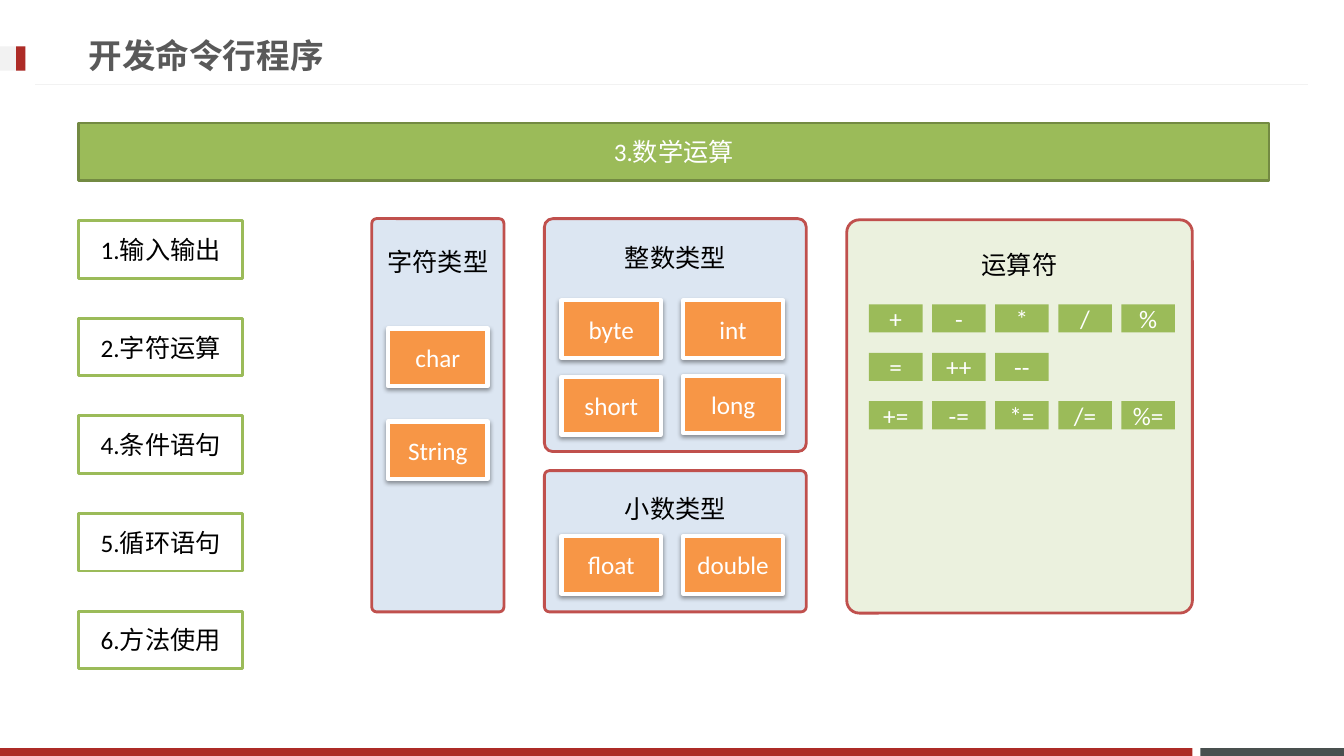
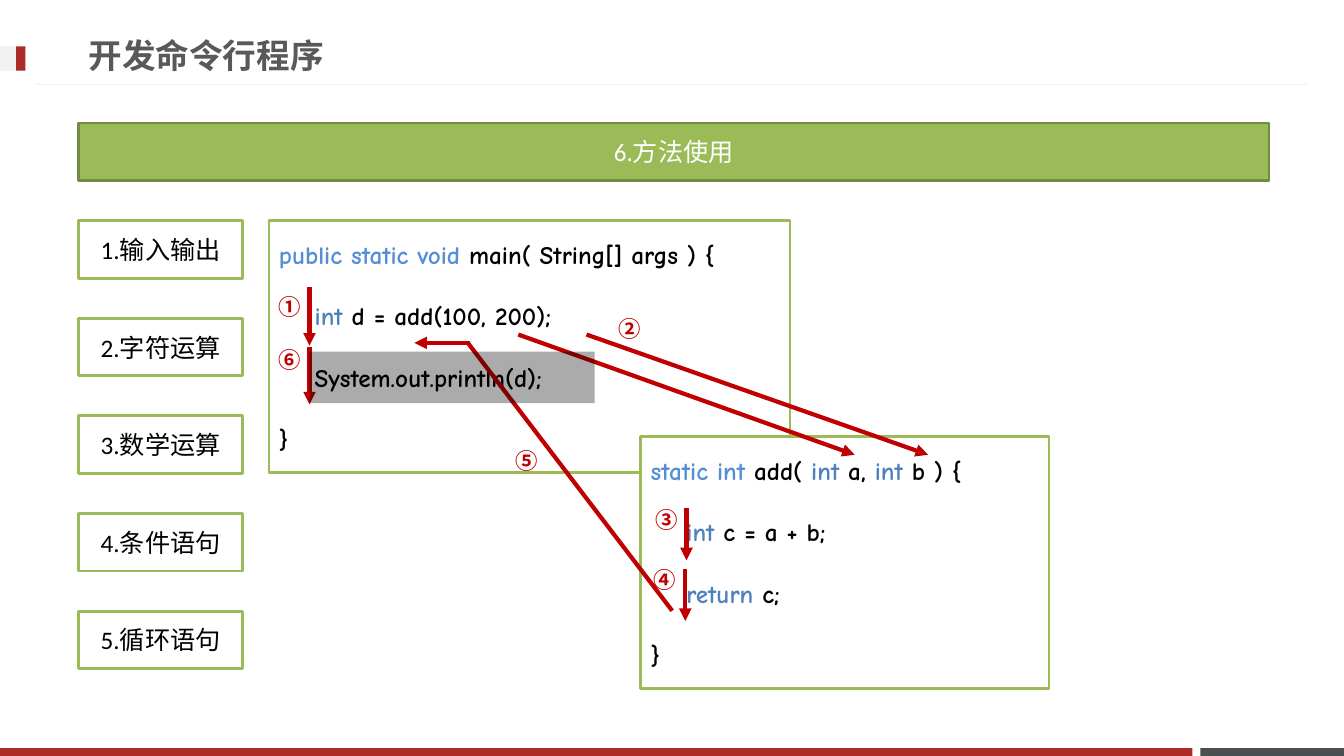
from dataclasses import dataclass

from lxml import etree
from pptx import Presentation
from pptx import util as u
from pptx.dml.color import RGBColor
from pptx.enum import shapes, text
from pptx.oxml import parse_xml
from pptx.oxml.ns import nsdecls, qn


@dataclass(frozen=True)
class Theme:
    white: str = "FFFFFF"
    black: str = "000000"
    title: str = "595959"
    pale: str = "F2F2F2"
    brand: str = "AD2B26"
    slate: str = "49504F"
    green: str = "9BBB59"
    dark_green: str = "738A42"
    light_green: str = "EBF1DE"
    light_blue: str = "DCE6F2"
    panel_line: str = "C0504D"
    orange: str = "F79646"
    modifier: str = "558ED5"
    keyword: str = "4F81BD"
    arrow: str = "C00000"
    title_size: int = 24
    body_size: int = 18
    label_size: int = 16
    body_font: str = "Calibri"
    title_font: str = "Roboto"
    code_font: str = "Comic Neue"
    cjk_font: str = "Noto Sans CJK SC"


theme = Theme()


def add_box(slide, box, fill, line=None, width=2, kind=shapes.MSO_SHAPE.RECTANGLE):
    shape = slide.shapes.add_shape(kind, *map(u.Cm, box))
    shape.shadow.inherit = False
    shape.fill.solid()
    shape.fill.fore_color.rgb = RGBColor.from_string(fill)
    if line:
        shape.line.color.rgb = RGBColor.from_string(line)
        shape.line.width = u.Pt(width)
    else:
        shape.line.fill.background()
    shape.text_frame.word_wrap = True
    shape.text_frame.vertical_anchor = text.MSO_ANCHOR.MIDDLE
    return shape


def add_run(paragraph, words, color, size=theme.body_size, font=theme.body_font, bold=False):
    run = paragraph.add_run()
    run.text = words
    run.font.size = u.Pt(size)
    run.font.bold = bold
    run.font.color.rgb = RGBColor.from_string(color)
    run.font.name = font
    east_asian = etree.SubElement(run.font._element, qn("a:ea"))
    east_asian.set("typeface", theme.cjk_font)


presentation = Presentation()
presentation.slide_width, presentation.slide_height = u.Cm(33.87), u.Cm(19.05)

# Shared frame: bands, rule, title, banner and the remaining chapters
chapters = ["1.输入输出", "2.字符运算", "3.数学运算", "4.条件语句", "5.循环语句", "6.方法使用"]
bands = [
    ((30.25, 18.85, 3.62, 0.2), theme.slate),
    ((0, 18.85, 30.05, 0.2), theme.brand),
    ((0, 1.17, 0.64, 0.61), theme.pale),
    ((0.41, 1.17, 0.23, 0.61), theme.brand),
]
slides = []
for current in ("3.数学运算", "6.方法使用"):
    slide = presentation.slides.add_slide(presentation.slide_layouts[6])
    slides.append(slide)
    for box, color in bands:
        add_box(slide, box, color)
    rule = slide.shapes.add_connector(
        shapes.MSO_CONNECTOR.STRAIGHT, u.Cm(0.89), u.Cm(2.13), u.Cm(32.97), u.Cm(2.13))
    rule.line.color.rgb = RGBColor.from_string(theme.pale)
    rule.line.width = u.Pt(0.75)
    etree.SubElement(rule._element.spPr, qn("a:effectLst"))

    title = slide.shapes.add_textbox(u.Cm(1.98), u.Cm(0.66), u.Cm(24.36), u.Cm(1.45))
    title.text_frame.word_wrap = True
    title.text_frame.vertical_anchor = text.MSO_ANCHOR.MIDDLE
    add_run(title.text_frame.paragraphs[0], "开发命令行程序", theme.title,
            theme.title_size, theme.title_font, bold=True)

    banner = add_box(slide, (1.98, 3.1, 30, 1.45), theme.green, theme.dark_green)
    banner.text_frame.paragraphs[0].alignment = text.PP_ALIGN.CENTER
    add_run(banner.text_frame.paragraphs[0], current, theme.white)

    others = [chapter for chapter in chapters if chapter != current]
    for row, chapter in enumerate(others):
        step = add_box(slide, (1.98, 5.56 + 2.46 * row, 4.14, 1.45), theme.white, theme.green)
        step.text_frame.paragraphs[0].alignment = text.PP_ALIGN.CENTER
        add_run(step.text_frame.paragraphs[0], chapter, theme.black)

math_slide, method_slide = slides

# Panels: heading, box, fill, distance of the heading from the top
panels = [
    ("字符类型", (9.37, 5.51, 3.33, 9.91), theme.light_blue, 0.65),
    ("整数类型", (13.72, 5.51, 6.6, 5.87), theme.light_blue, 0.53),
    ("小数类型", (13.72, 11.86, 6.6, 3.56), theme.light_blue, 0.53),
    ("运算符", (21.34, 5.54, 8.71, 9.91), theme.light_green, 0.65),
]
for heading, box, fill, inset in panels:
    panel = add_box(math_slide, box, fill, theme.panel_line,
                    kind=shapes.MSO_SHAPE.ROUNDED_RECTANGLE)
    panel.adjustments[0] = 0.036
    panel.text_frame.vertical_anchor = text.MSO_ANCHOR.TOP
    panel.text_frame.margin_top = u.Cm(inset)
    panel.text_frame.paragraphs[0].alignment = text.PP_ALIGN.CENTER
    add_run(panel.text_frame.paragraphs[0], heading, theme.black)

# Data types, with a soft shadow
data_types = [
    ("char", 9.78, 8.28), ("String", 9.78, 10.62),
    ("byte", 14.15, 7.57), ("int", 17.22, 7.57),
    ("short", 14.15, 9.5), ("long", 17.22, 9.47),
    ("float", 14.15, 13.51), ("double", 17.22, 13.51),
]
for name, left, top in data_types:
    card = add_box(math_slide, (left, top, 2.51, 1.45), theme.orange, theme.white, 3)
    card._element.spPr.find(qn("a:effectLst")).append(parse_xml(
        f'<a:outerShdw {nsdecls("a")} blurRad="40000" dist="20000" dir="5400000" rotWithShape="0">'
        f'<a:srgbClr val="{theme.black}"><a:alpha val="38000"/></a:srgbClr></a:outerShdw>'))
    card.text_frame.paragraphs[0].alignment = text.PP_ALIGN.CENTER
    add_run(card.text_frame.paragraphs[0], name, theme.white)

# Operators on a grid
operators = [["+", "-", "*", "/", "%"], ["=", "++", "--"], ["+=", "-=", "*=", "/=", "%="]]
for row, symbols in enumerate(operators):
    for column, symbol in enumerate(symbols):
        key = add_box(math_slide, (21.9 + 1.59 * column, 7.67 + 1.22 * row, 1.35, 0.71), theme.green)
        key.text_frame.paragraphs[0].alignment = text.PP_ALIGN.CENTER
        add_run(key.text_frame.paragraphs[0], symbol, theme.white)

# Code boxes: each line is an indent level and its coloured runs
main_code = [
    (0, [("public static void ", theme.modifier), ("main( String[] args ) {", theme.black)]),
    (1, [("int", theme.keyword), (" d = add(100, 200);", theme.black)]),
    (1, [("System.out.println(d);", theme.black)]),
    (0, [("}", theme.black)]),
]
add_code = [
    (0, [("static int ", theme.modifier), ("add( ", theme.black), ("int", theme.keyword),
         (" a, ", theme.black), ("int", theme.keyword), (" b ) {", theme.black)]),
    (1, [("int", theme.keyword), (" c = a + b;", theme.black)]),
    (1, [("return", theme.keyword), (" c;", theme.black)]),
    (0, [("}", theme.black)]),
]
for box, code in (((6.78, 5.56, 13.13, 6.35), main_code), ((16.15, 11, 10.29, 6.35), add_code)):
    frame = add_box(method_slide, box, theme.white, theme.green).text_frame
    for number, (level, runs) in enumerate(code):
        paragraph = frame.add_paragraph() if number else frame.paragraphs[0]
        paragraph.alignment = text.PP_ALIGN.LEFT
        paragraph.space_before = u.Pt(22.3 if number else 0)
        paragraph._p.get_or_add_pPr().set("marL", str(u.Cm(0.9 * level)))
        for words, color in runs:
            add_run(paragraph, words, color, font=theme.code_font, bold=True)

# Flow of the call: from, to, arrowhead
flows = [
    ((13.06, 8.43), (21.54, 11.46), True),
    ((14.78, 8.43), (23.39, 11.46), True),
    ((7.8, 7.24), (7.8, 8.71), True),
    ((17.3, 12.8), (17.3, 14.12), True),
    ((7.8, 8.74), (7.8, 10.19), True),
    ((11.84, 8.64), (10.44, 8.64), True),
    ((11.79, 8.64), (16.94, 15.39), False),
    ((17.27, 14.33), (17.27, 15.65), True),
]
for start, end, has_head in flows:
    flow = method_slide.shapes.add_connector(
        shapes.MSO_CONNECTOR.STRAIGHT, *map(u.Cm, start + end))
    flow.line.color.rgb = RGBColor.from_string(theme.arrow)
    flow.line.width = u.Pt(3)
    if has_head:
        etree.SubElement(flow.line._get_or_add_ln(), qn("a:tailEnd")).set("type", "triangle")
    etree.SubElement(flow._element.spPr, qn("a:effectLst"))

# Step numbers
step_numbers = [
    ("①", 6.78, 7.26), ("②", 15.34, 7.82), ("③", 16.26, 12.62),
    ("④", 16.23, 14.15), ("⑤", 12.75, 11.15), ("⑥", 6.78, 8.59),
]
for number, left, top in step_numbers:
    label = method_slide.shapes.add_textbox(u.Cm(left), u.Cm(top), u.Cm(1.09), u.Cm(0.94))
    label.text_frame.word_wrap = False
    add_run(label.text_frame.paragraphs[0], number, theme.arrow,
            theme.label_size, theme.cjk_font, bold=True)

# Translucent highlight over the print statement
highlight = add_box(method_slide, (7.8, 8.86, 7.19, 1.3), theme.black)
highlight_color = highlight._element.spPr.find(qn("a:solidFill")).find(qn("a:srgbClr"))
etree.SubElement(highlight_color, qn("a:alpha")).set("val", "33000")

presentation.save("out.pptx")
